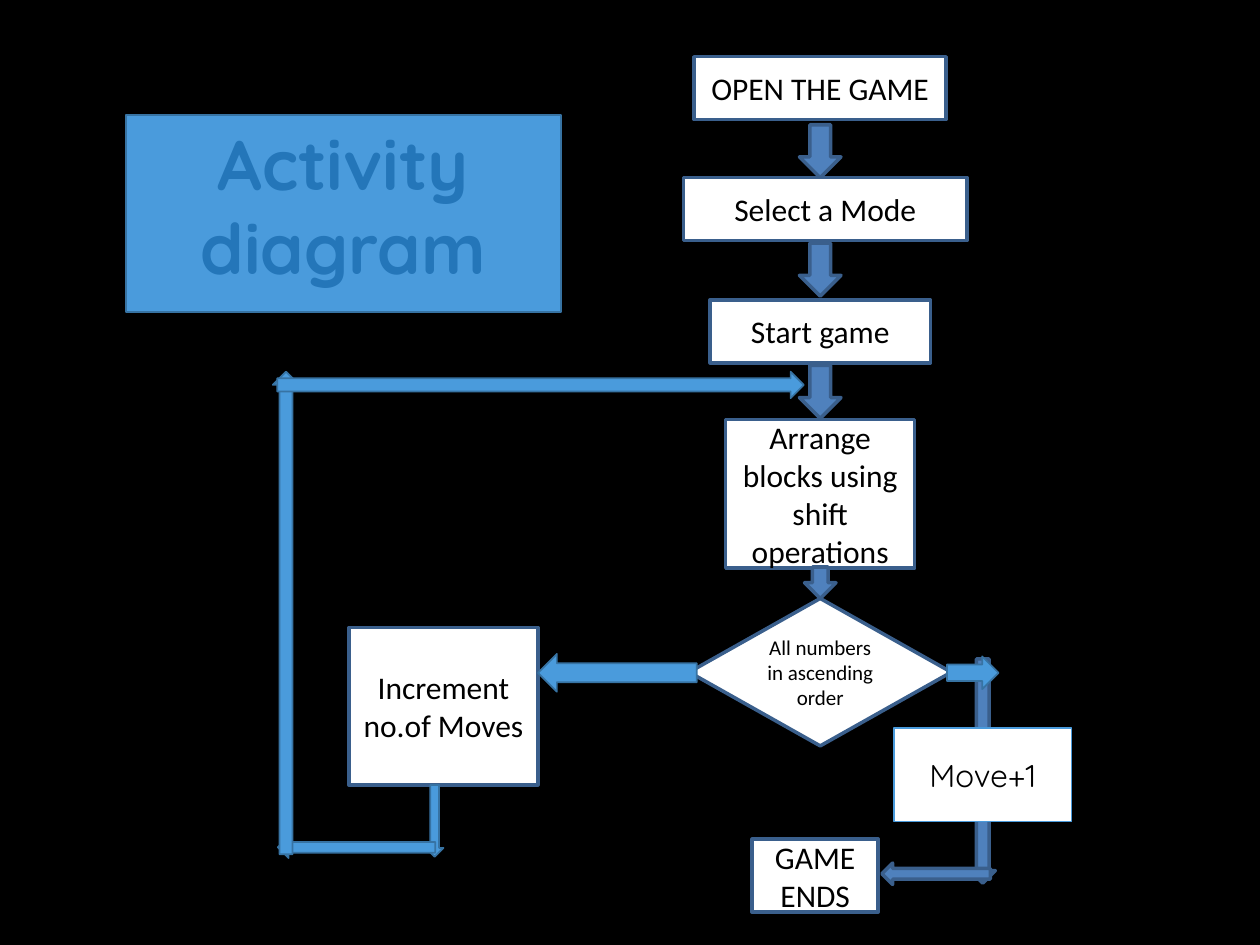
from pptx import Presentation
from pptx.dml.color import RGBColor
from pptx.enum import shapes, text
from pptx.util import Inches, Pt

COLORS = {
    "background": "000000", "ink": "000000", "paper": "FFFFFF",
    "navy": "4F81BD", "navy edge": "3A5F8C",
    "sky": "4A9BDC", "sky edge": "3773A3", "title": "2476B9",
}
KIND = shapes.MSO_SHAPE
SPINE = 6.51  # centre of the main flow, inches

# wording, centre x, top, width, height
STEPS = [
    ("OPEN THE GAME", SPINE, 0.45, 2, 0.5),
    ("Select a Mode", 6.55, 1.41, 2.25, 0.5),
    ("Start game", SPINE, 2.38, 1.75, 0.5),
    ("Arrange blocks using shift operations", SPINE, 3.33, 1.5, 1.18),
    ("Increment no.of Moves", 3.52, 4.98, 1.5, 1.25),
    ("GAME ENDS", 6.47, 6.66, 1, 0.58),
]
DECISION = ("All numbers in ascending order", SPINE, 4.75, 2.08, 1.17)
MOVE = ("Move+1", 7.8, 5.78, 1.41, 0.74)

# shape, centre x, top, width, height
FLOW_ARROWS = [(KIND.DOWN_ARROW, SPINE, top, 0.33, 0.42) for top in (0.99, 1.93, 2.9)] + [
    (KIND.DOWN_ARROW, SPINE, 4.5, 0.25, 0.25),
    (KIND.DOWN_ARROW, 7.8, 5.23, 0.2, 1.78),
    (KIND.LEFT_ARROW, 7.43, 6.85, 0.86, 0.17),
]
LOOP_ARROWS = [
    (KIND.LEFT_ARROW, 4.9, 5.19, 1.26, 0.3),
    (KIND.RIGHT_ARROW, 7.72, 5.21, 0.41, 0.26),
    (KIND.DOWN_ARROW, 3.45, 6.23, 0.14, 0.57),
    (KIND.LEFT_ARROW, 2.83, 6.64, 1.25, 0.17),
    (KIND.UP_ARROW, 2.27, 2.95, 0.21, 3.83),
    (KIND.RIGHT_ARROW, 4.29, 2.95, 4.18, 0.21),
]


def rgb(name):
    return RGBColor.from_string(COLORS[name])


def paint(shape, fill, edge, weight):
    shape.fill.solid()
    shape.fill.fore_color.rgb = rgb(fill)
    shape.line.color.rgb = rgb(edge)
    shape.line.width = Pt(weight)


def write(shape, wording, size, font="Calibri", color="ink", bold=False,
          anchor=text.MSO_ANCHOR.MIDDLE):
    frame = shape.text_frame
    frame.text = wording
    frame.word_wrap = True
    frame.vertical_anchor = anchor
    paragraph = frame.paragraphs[0]
    paragraph.alignment = text.PP_ALIGN.CENTER
    style = paragraph.runs[0].font
    style.name, style.size, style.bold = font, Pt(size), bold
    style.color.rgb = rgb(color)


def add_part(slide, kind, center, top, width, height, fill, edge, weight):
    part = slide.shapes.add_shape(
        kind, *map(Inches, (center - width / 2, top, width, height)))
    part.shadow.inherit = False
    paint(part, fill, edge, weight)
    return part


def add_title(slide):
    title = slide.shapes.title
    title.left, title.top, title.width, title.height = map(Inches, (1, 0.91, 3.45, 1.45))
    paint(title, "sky", "sky edge", 1)
    write(title, "Activity diagram", 40, "Quicksand", "title", True, text.MSO_ANCHOR.TOP)
    title.text_frame.auto_size = text.MSO_AUTO_SIZE.SHAPE_TO_FIT_TEXT


def main():
    deck = Presentation()
    deck.slide_width, deck.slide_height = Inches(10), Inches(7.5)
    slide = deck.slides.add_slide(deck.slide_layouts.get_by_name("Title Only"))
    slide.background.fill.solid()
    slide.background.fill.fore_color.rgb = rgb("background")
    add_title(slide)

    for wording, *place in STEPS:
        step = add_part(slide, KIND.RECTANGLE, *place, "paper", "navy edge", 2)
        write(step, wording, 18)
    wording, *place = DECISION
    write(add_part(slide, KIND.DIAMOND, *place, "paper", "navy edge", 2), wording, 12)

    for arrow in FLOW_ARROWS:
        add_part(slide, *arrow, "navy", "navy edge", 2)
    for arrow in LOOP_ARROWS:
        add_part(slide, *arrow, "sky", "sky edge", 1)

    wording, *place = MOVE
    write(add_part(slide, KIND.RECTANGLE, *place, "paper", "sky", 1), wording, 18, "Quicksand")
    deck.save("out.pptx")


if __name__ == "__main__":
    main()
